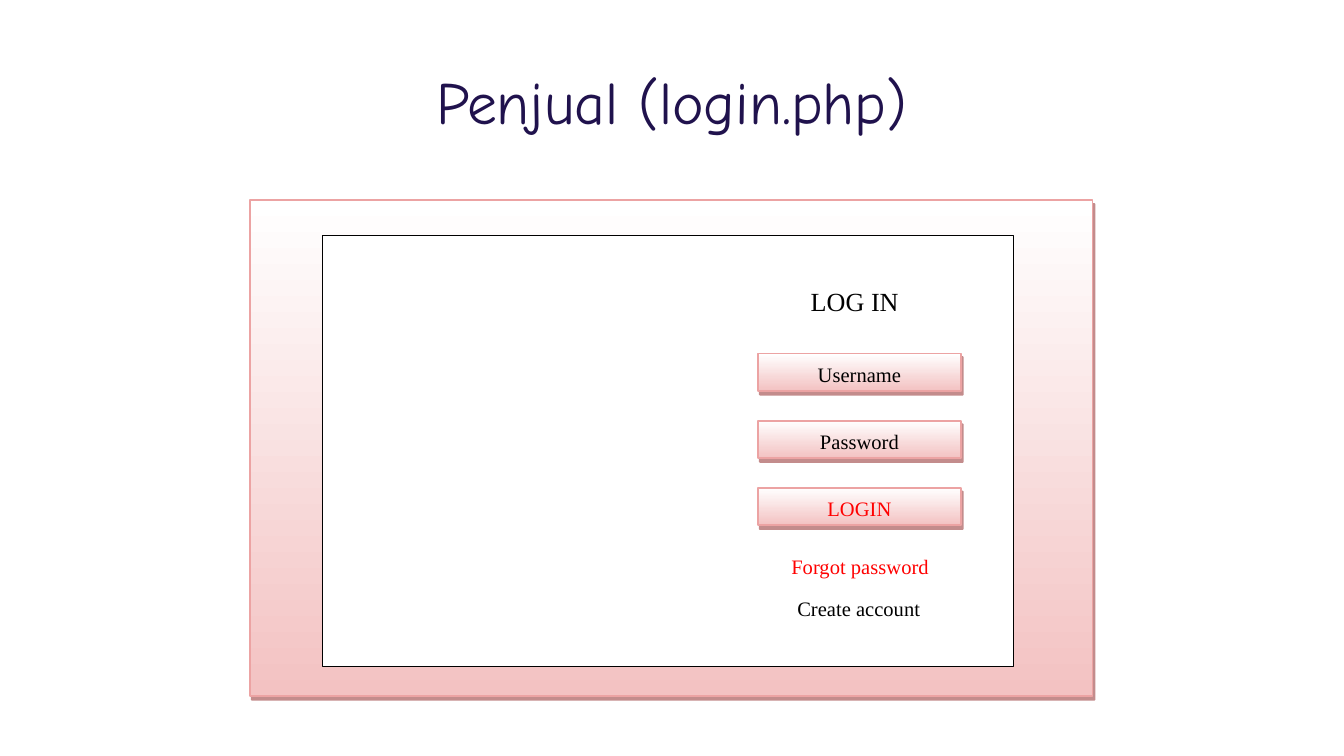
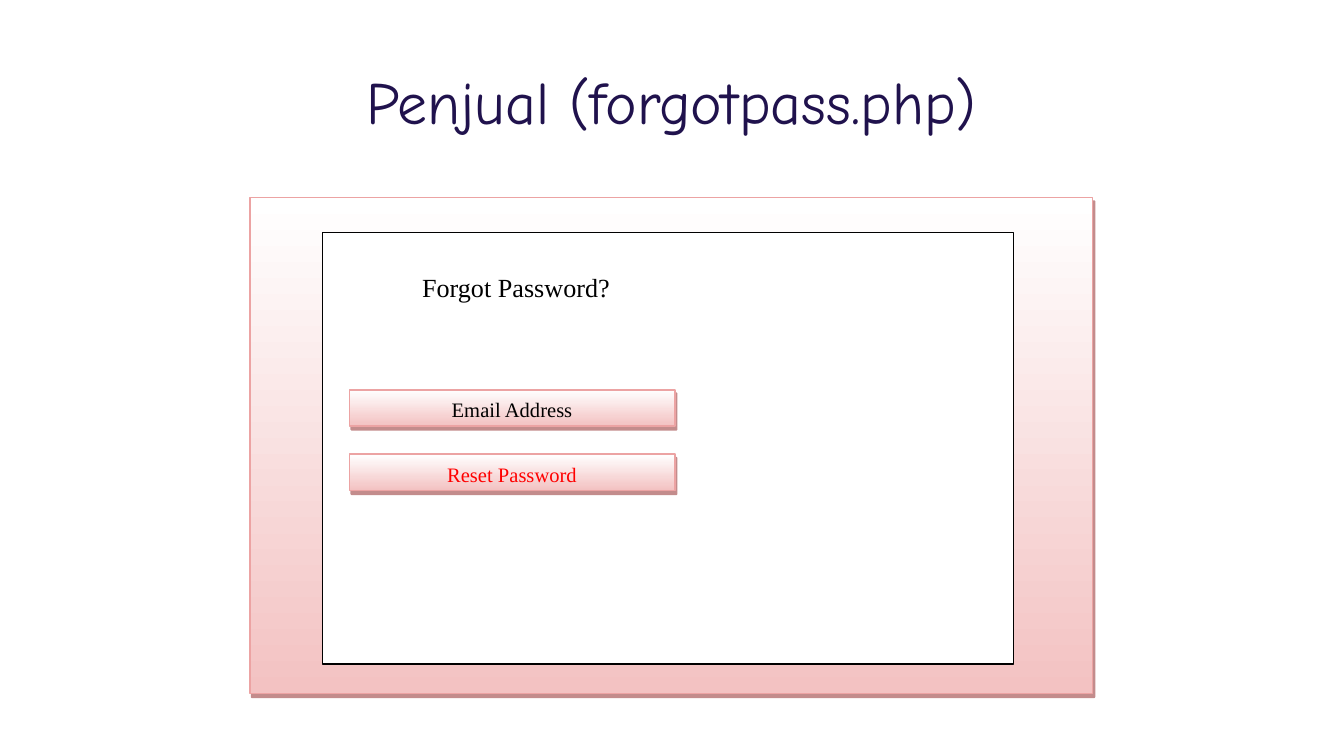
from lxml import etree
from pptx import Presentation
from pptx.dml.color import RGBColor
from pptx.enum.shapes import MSO_SHAPE
from pptx.enum.text import MSO_ANCHOR, PP_ALIGN
from pptx.oxml.ns import qn
from pptx.util import Inches, Pt

RECT = MSO_SHAPE.RECTANGLE
MIDDLE = MSO_ANCHOR.MIDDLE
CENTER = PP_ALIGN.CENTER

WHITE = RGBColor(0xFF, 0xFF, 0xFF)
BLACK = RGBColor(0, 0, 0)
RED = RGBColor(0xFF, 0, 0)
NAVY = RGBColor(0x20, 0x12, 0x4D)
PINK = RGBColor(0xF3, 0xC2, 0xC2)
ROSE = RGBColor(0xEC, 0xA3, 0xA3)
WINE = RGBColor(0x88, 0x1B, 0x1B)

TITLE_FONT = "Comic Neue"
BODY_FONT = "Times New Roman"

CELL = Inches(0.1)  # the slide is a grid of 100 columns by 56.25 rows
COLS, ROWS = 100, 56.25
LABEL_W, LABEL_H = 19.4, 3.8


def cells(*counts):
    return [round(n * CELL) for n in counts]


def write(shape, text, size=11, color=BLACK, font=BODY_FONT, lead=1.15, after=10):
    frame = shape.text_frame
    frame.word_wrap = True
    frame.vertical_anchor = MIDDLE
    para = frame.paragraphs[0]
    para.alignment = CENTER
    para.line_spacing = lead
    para.space_after = Pt(after)
    run = para.add_run()
    run.text = text
    run.font.size = Pt(size)
    run.font.name = font
    run.font.color.rgb = color


def box(group, x, y, w, h, line=WHITE, width=0.75):
    """Add a plain white rectangle, placed in grid cells."""
    shape = group.shapes.add_shape(RECT, *cells(x, y, w, h))
    shape.shadow.inherit = False
    shape.fill.solid()
    shape.fill.fore_color.rgb = WHITE
    shape.line.color.rgb = line
    shape.line.width = Pt(width)
    return shape


def cast(shape):
    """Give the shape a hard, half clear shadow."""
    effects = shape.element.spPr.find(qn("a:effectLst"))
    outer = etree.SubElement(effects, qn("a:outerShdw"), blurRad="0",
                             dist=str(Pt(2.2)), dir=str(63 * 60000),
                             algn="ctr", rotWithShape="0")
    color = etree.SubElement(outer, qn("a:srgbClr"), val=str(WINE))
    etree.SubElement(color, qn("a:alpha"), val="50000")


def panel(group, x, y, w, h):
    """Add a rectangle that fades from white to pink and casts a shadow."""
    shape = box(group, x, y, w, h, line=ROSE, width=1)
    shape.fill.gradient()
    shape.fill.gradient_angle = 270
    for stop, color in zip(shape.fill.gradient_stops, (WHITE, PINK)):
        stop.color.rgb = color
    cast(shape)
    return shape


def stack(group, x, y, w, h, step, items):
    """Add buttons one below the other, a fixed step apart."""
    for i, (text, color) in enumerate(items):
        write(panel(group, x, y + i * step, w, h), text, color=color)


def label(group, x, y, text, **style):
    write(box(group, x, y, LABEL_W, LABEL_H), text, **style)


def page(deck, title, top):
    """Add a titled slide with an empty browser frame; return its group."""
    slide = deck.slides.add_slide(deck.slide_layouts[5])
    head = slide.shapes.title
    head.left, head.top, head.width, head.height = cells(7.8, 4.8, 84.4, 6.3)
    frame = head.text_frame
    frame.margin_left = frame.margin_right = CELL
    frame.margin_top = frame.margin_bottom = CELL
    write(head, title, size=32, color=NAVY, font=TITLE_FONT, lead=0.8, after=0)
    group = slide.shapes.add_group_shape()
    panel(group, 18.6, top, 62.7, 36.9)
    box(group, 24, top + 2.6, 51.4, 32.1, line=BLACK)
    return group


def login(deck):
    group = page(deck, "Penjual (login.php)", 14.9)
    stack(group, 56.4, 26.3, 15.1, 2.8, 5,
          [("Username", BLACK), ("Password", BLACK), ("LOGIN", RED)])
    label(group, 54.3, 40.1, "Forgot password", color=RED)
    label(group, 54.2, 43.2, "Create account")
    label(group, 53.9, 20.3, "LOG IN", size=14)


def forgot(deck):
    group = page(deck, "Penjual (forgotpass.php)", 14.7)
    label(group, 28.7, 19.3, "Forgot Password?", size=14)
    stack(group, 26, 29, 24.2, 2.7, 4.8,
          [("Email Address", BLACK), ("Reset Password", RED)])


def main():
    deck = Presentation()
    deck.slide_width, deck.slide_height = cells(COLS, ROWS)
    login(deck)
    forgot(deck)
    deck.save("out.pptx")


if __name__ == "__main__":
    main()
